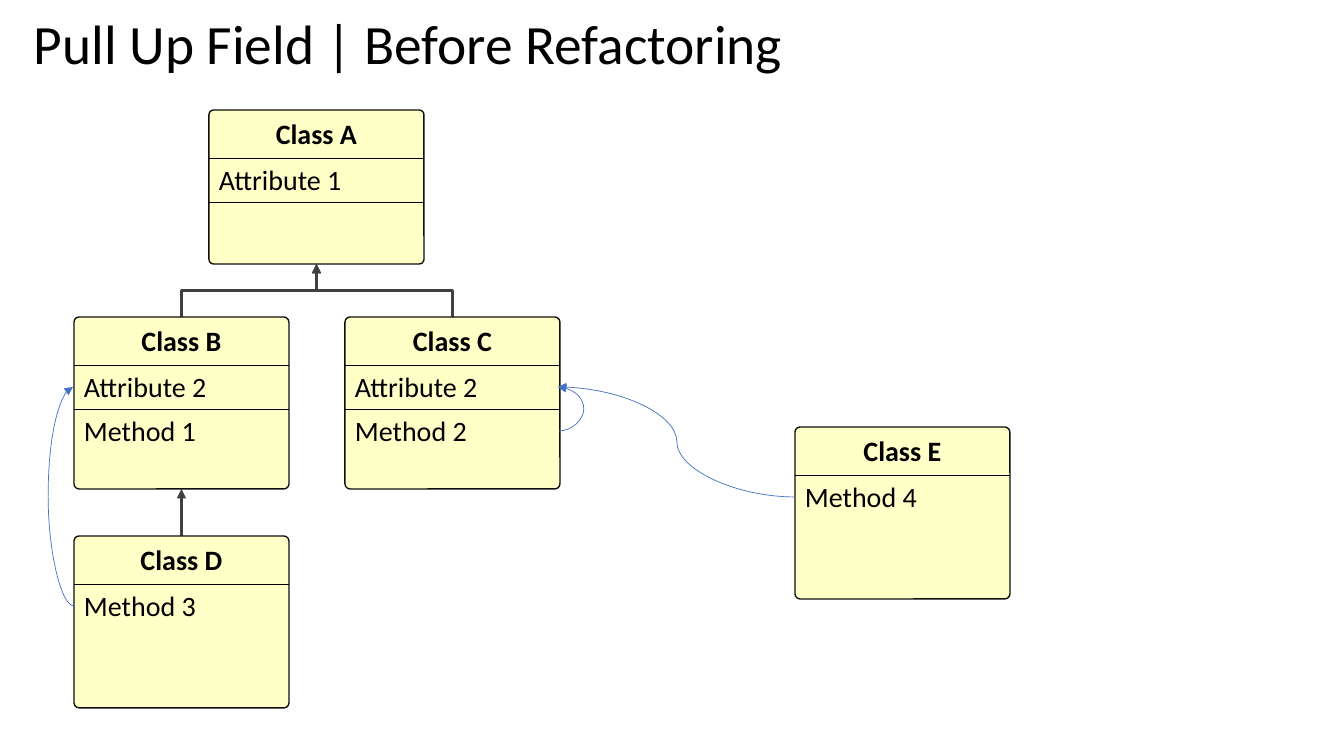
from lxml import etree
from pptx import Presentation
from pptx.dml.color import RGBColor
from pptx.enum.shapes import MSO_CONNECTOR, MSO_SHAPE
from pptx.enum.text import MSO_ANCHOR, PP_ALIGN
from pptx.oxml.ns import qn
from pptx.util import Pt

STRAIGHT, ELBOW, CURVE = MSO_CONNECTOR.STRAIGHT, MSO_CONNECTOR.ELBOW, MSO_CONNECTOR.CURVE
ROUNDED = MSO_SHAPE.ROUNDED_RECTANGLE
TOP, MIDDLE = MSO_ANCHOR.TOP, MSO_ANCHOR.MIDDLE
LEFT, CENTER = PP_ALIGN.LEFT, PP_ALIGN.CENTER

# Content
TITLE = "Pull Up Field | Before Refactoring"
# name: (left, top, height, compartments below the header)
CLASSES = {
    "Class A": (209, 110, 154, ["Attribute 1", ""]),
    "Class B": (74, 317, 172, ["Attribute 2", "Method 1"]),
    "Class C": (345, 317, 172, ["Attribute 2", "Method 2"]),
    "Class D": (74, 536, 172, ["Method 3"]),
    "Class E": (795, 427, 172, ["Method 4"]),
}
INHERITS = [("Class B", "Class A"), ("Class C", "Class A"), ("Class D", "Class B")]
# (class, row, side) of the user and of the used field, x of the bend
USES = [
    (("Class C", 1, "right"), ("Class C", 0, "right"), 584),
    (("Class D", 0, "left"), ("Class B", 0, "left"), 48),
    (("Class E", 0, "left"), ("Class C", 0, "right"), 677),
]

# Theme and layout
THEME = {
    "font": "Calibri", "title": 39.6, "body": 20,
    "text": "000000", "fill": "FFFFC8", "border": "0F0F0B",
    "divider": "000000", "inherit": "404040", "use": "4472C4",
}
EMU_PER_PX = 914400 / 100.8
CLASS_W, HEADER_H, ROW_H = 215, 48, 44


def px(n):
    return round(n * EMU_PER_PX)


def color(name):
    return RGBColor.from_string(THEME[name])


def write(sp, text, size="body", bold=False, align=LEFT, anchor=TOP, spacing=1.0):
    tf = sp.text_frame
    tf.word_wrap = True
    tf.vertical_anchor = anchor
    p = tf.paragraphs[0]
    p.alignment, p.line_spacing = align, spacing
    r = p.add_run()
    r.text = text
    r.font.name, r.font.size, r.font.bold = THEME["font"], Pt(THEME[size]), bold
    r.font.color.rgb = color("text")


def text_box(text, x, y, w, h, **fmt):
    write(s.shapes.add_textbox(px(x), px(y), px(w), px(h)), text, **fmt)


def connect(kind, start, end, line, width, arrow=True):
    c = s.shapes.add_connector(kind, *(px(n) for n in start + end))
    c.line.color.rgb, c.line.width = color(line), Pt(width)
    if arrow:
        etree.SubElement(c.line._get_or_add_ln(), qn("a:tailEnd"), type="triangle")
    etree.SubElement(c._element.spPr, qn("a:effectLst"))
    return c


def climb(start, end):
    """Elbow that leaves upwards, bends halfway and arrives from below."""
    c = connect(ELBOW, start, end, "inherit", 2.25)
    across, rise = abs(end[0] - start[0]), start[1] - end[1]
    mid_x, mid_y = (start[0] + end[0]) / 2, (start[1] + end[1]) / 2
    c.left, c.top = px(mid_x - rise / 2), px(mid_y - across / 2)
    c.width, c.height = px(rise), px(across)
    rightward = end[0] > start[0]
    xfrm = c._element.spPr.find(qn("a:xfrm"))
    xfrm.set("rot", str((90 if rightward else 270) * 60000))
    xfrm.set("flipH", "1" if rightward else "0")
    xfrm.set("flipV", "1")


def bend_at(c, share):
    guides = c._element.spPr.find(qn("a:prstGeom")).get_or_add_avLst()
    etree.SubElement(guides, qn("a:gd"), name="adj1", fmla=f"val {round(share * 100000)}")


def row_side(name, row, side):
    x, y, _, _ = CLASSES[name]
    edge = x if side == "left" else x + CLASS_W - 1
    return edge, y + HEADER_H + row * ROW_H + ROW_H // 2


prs = Presentation()
prs.slide_width, prs.slide_height = px(1344), px(756)
s = prs.slides.add_slide(prs.slide_layouts[6])

# Title
text_box(TITLE, 24, 16, 1159, 62, size="title", anchor=MIDDLE, spacing=0.9)

# Inheritance arrows
for child, parent in INHERITS:
    x, y, _, _ = CLASSES[child]
    parent_x, parent_y, parent_h, _ = CLASSES[parent]
    start = (x + CLASS_W / 2, y)
    end = (parent_x + CLASS_W / 2, parent_y + parent_h)
    if start[0] == end[0]:
        connect(STRAIGHT, start, end, "inherit", 2.25)
    else:
        climb(start, end)

# Class boxes
for name, (x, y, h, rows) in CLASSES.items():
    sp = s.shapes.add_shape(ROUNDED, px(x), px(y), px(CLASS_W), px(h))
    sp.adjustments[0] = 0.03
    sp.shadow.inherit = False
    sp.fill.solid()
    sp.fill.fore_color.rgb = color("fill")
    sp.line.color.rgb, sp.line.width = color("border"), Pt(1)
    write(sp, name, bold=True, align=CENTER)
    for i, member in enumerate(rows):
        row_y = y + HEADER_H + i * ROW_H
        connect(STRAIGHT, (x, row_y), (x + CLASS_W, row_y), "divider", 0.5, arrow=False)
        if member:
            text_box(member, x, row_y, CLASS_W, ROW_H)

# Field uses
for user, field, bend_x in USES:
    start, end = row_side(*user), row_side(*field)
    end = (end[0] - 1, end[1])
    c = connect(CURVE, start, end, "use", 0.5)
    bend_at(c, (bend_x - start[0]) / (end[0] - start[0]))

prs.save("out.pptx")
